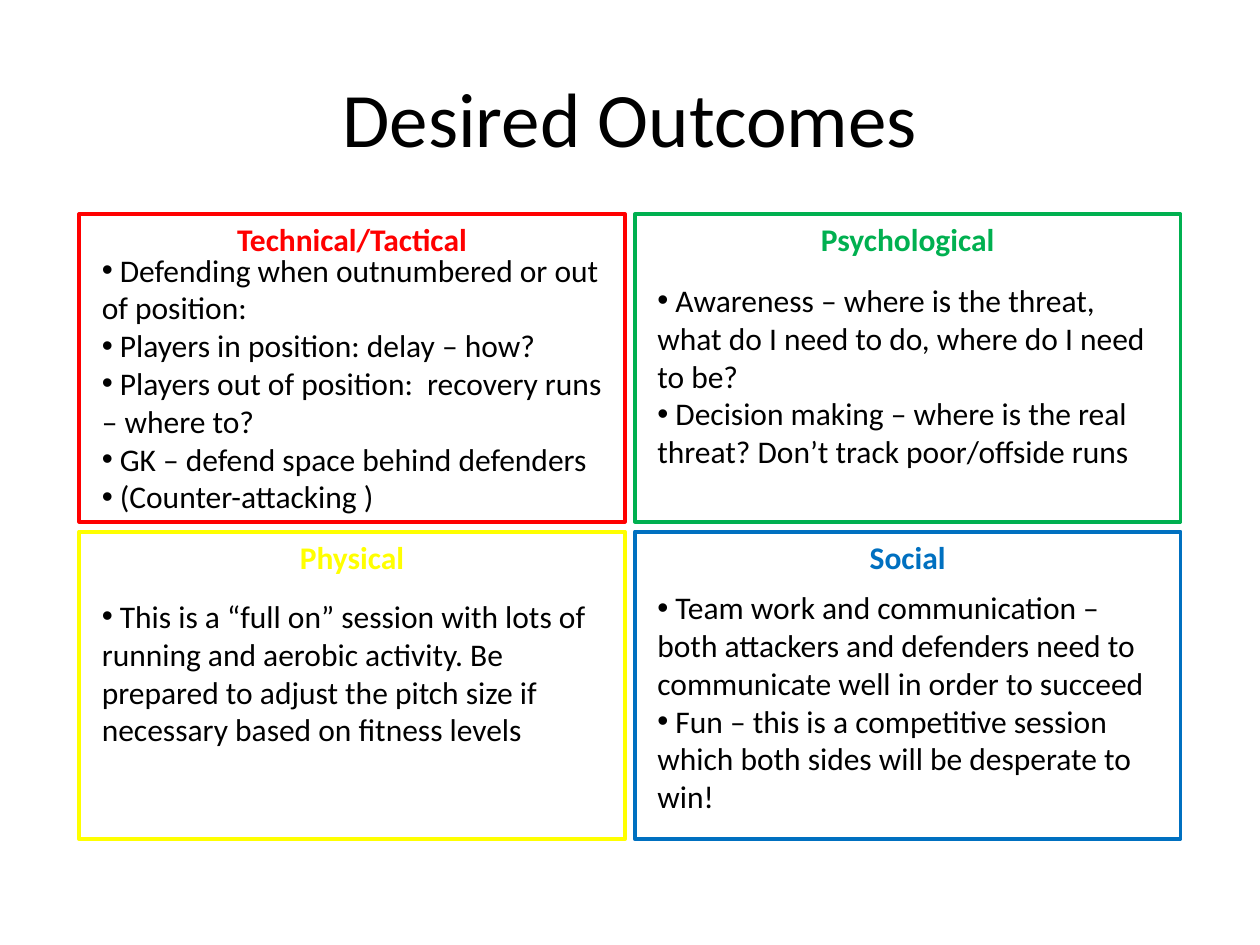
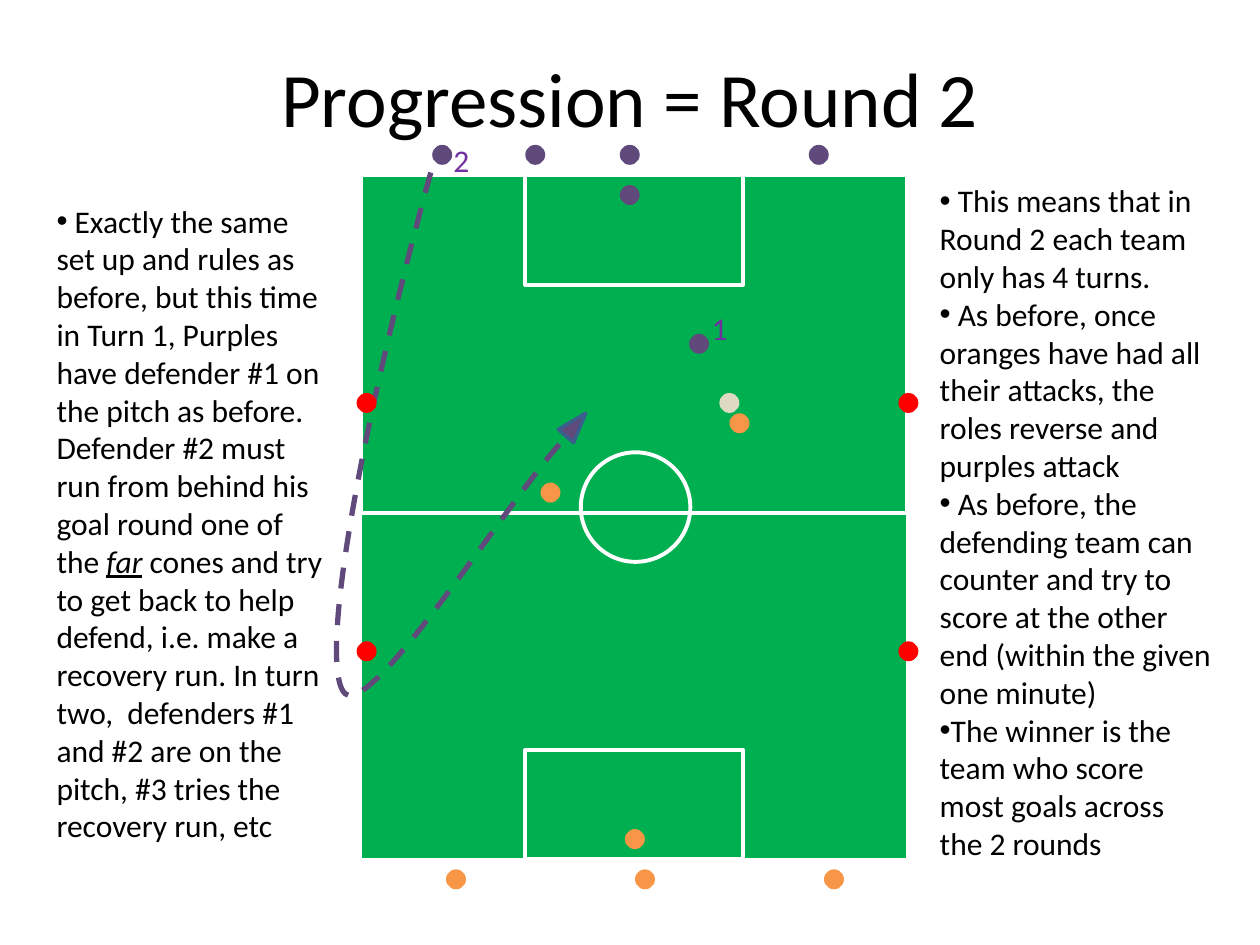
from dataclasses import dataclass
from itertools import product
from typing import NamedTuple

from pptx import Presentation
from pptx.dml.color import RGBColor
from pptx.enum.dml import MSO_LINE
from pptx.enum.shapes import MSO_SHAPE
from pptx.enum.text import MSO_ANCHOR, MSO_AUTO_SIZE as AutoSize, PP_ALIGN as Align
from pptx.oxml.ns import qn
from pptx.oxml.xmlchemy import OxmlElement
from pptx.shapes.autoshape import Shape
from pptx.slide import Slide
from pptx.text.text import TextFrame
from pptx.util import Pt

FONT = "Calibri"
BODY_SIZE = 18
TITLE_SIZE = 44
BLACK, WHITE, RED, YELLOW = "000000", "FFFFFF", "FF0000", "FFFF00"
GREEN, BLUE, ORANGE, PURPLE = "00B050", "0070C0", "F79646", "604A7B"
BALL, NUMBER, ARROW_EDGE = "DDD9C3", "7030A0", "3A5F8C"
DOT = 11.4


class Box(NamedTuple):
    left: float
    top: float
    width: float
    height: float


class Span(NamedTuple):
    text: str
    color: str = BLACK
    size: float = BODY_SIZE
    bold: bool = False
    stressed: bool = False


@dataclass
class Panel:
    heading: str
    heading_width: float
    color: str
    column: int
    row: int
    body_offset: float
    body_height: float
    points: list[str]


class DotGroup(NamedTuple):
    color: str
    places: list[tuple[float, float]]


PANEL = Box(45.3, 122.4, 311.8, 175.7)
COLUMN_STEP, ROW_STEP = 317.5, 181.4
PANELS = [
    Panel("Technical/Tactical", 146.9, RED, 0, 0, 17.3, 159.8, [
        " Defending when outnumbered or out of position:",
        " Players in position: delay – how?",
        " Players out of position:  recovery runs – where to?",
        " GK – defend space behind defenders",
        " (Counter-attacking )",
    ]),
    Panel("Physical", 74.9, YELLOW, 0, 1, 33.8, 94.3, [
        " This is a “full on” session with lots of running and aerobic activity. "
        "Be prepared to adjust the pitch size if necessary based on fitness levels",
    ]),
    Panel("Psychological", 114.5, GREEN, 1, 0, 34.6, 116.6, [
        " Awareness – where is the threat, what do I need to do, where do I need to be?",
        " Decision making – where is the real threat? Don’t track poor/offside runs",
    ]),
    Panel("Social", 58.3, BLUE, 1, 1, 28.8, 138.2, [
        " Team work and communication – both attackers and defenders need to "
        "communicate well in order to succeed",
        " Fun – this is a competitive session which both sides will be desperate to win!",
    ]),
]

PITCH = Box(206.6, 100.1, 311.8, 391)
HALF_HEIGHT = 193
GOAL_AREA = (124.6, 62.6)
CIRCLE = Box(331.9, 258.5, 62.6, 62.6)
BENCH_TOP, BENCH_BOTTOM = 82.8, 496.8
TEAMS = [
    DotGroup(ORANGE, [(357.1, 473.8), (308.9, 275.8), (416.9, 236.2)]
             + [(254.9 + 108 * i, BENCH_BOTTOM) for i in range(3)]),
    DotGroup(PURPLE, [(354.2, 105.8), (393.8, 190.8)]
             + [(x, BENCH_TOP) for x in (247, 300.2, 354.2, 462.2)]),
    DotGroup(BALL, [(411.1, 224.6)]),
]
CONES = DotGroup(RED, list(product((203.8, 513.4), (224.6, 366.5))))
RUN_START = (246.2, 98.6)
RUN_CURVES = [
    (210.2, 229.7), (182.2, 370.1), (195.8, 394.6),
    (208.8, 419.8), (303.1, 265), (326.2, 247.7),
]
ARROWHEAD = Box(323.3, 234, 11.5, 17.3)
DEFENDERS = [("1", 399.6, 172.8), ("2", 252, 77)]

SETUP = [[
    Span(" Exactly the same set up and rules as before, but this time in Turn 1, "
         "Purples have defender #1 on the pitch as before. Defender #2 must run from "
         "behind his goal round one of the "),
    Span("far", stressed=True),
    Span(" cones and try to get back to help defend, i.e. make a recovery run. In turn "
         "two,  defenders #1 and #2 are on the pitch, #3 tries the recovery run, etc"),
]]
RULES = [[Span(text)] for text in (
    " This means that in Round 2 each team only has 4 turns.",
    " As before, once oranges have had all their attacks, the roles reverse and "
    "purples attack",
    " As before, the defending team can counter and try to score at the other end "
    "(within the given one minute)",
    "The winner is the team who score most goals across the 2 rounds",
)]


def rgb(value: str) -> RGBColor:
    return RGBColor.from_string(value)


def add_text(slide: Slide, box: Box, paragraphs: list[list[Span]], bullets: bool = False,
             align: Align = Align.LEFT, wrap: bool = True) -> TextFrame:
    frame = slide.shapes.add_textbox(*map(Pt, box)).text_frame
    frame.word_wrap = wrap
    frame.auto_size = AutoSize.SHAPE_TO_FIT_TEXT
    for index, spans in enumerate(paragraphs):
        para = frame.add_paragraph() if index else frame.paragraphs[0]
        para.alignment = align
        if bullets:
            properties = para._p.get_or_add_pPr()
            for tag, name, value in (("a:buFont", "typeface", "Arial"),
                                     ("a:buChar", "char", "•")):
                mark = OxmlElement(tag)
                mark.set(name, value)
                properties.append(mark)
        for span in spans:
            run = para.add_run()
            run.text = span.text
            font = run.font
            font.name, font.size, font.bold = FONT, Pt(span.size), span.bold
            font.italic = font.underline = span.stressed
            font.color.rgb = rgb(span.color)
    return frame


def add_title(slide: Slide, text: str, height: float) -> None:
    frame = add_text(slide, Box(36, 21.6, 648, height),
                     [[Span(text, size=TITLE_SIZE)]], align=Align.CENTER)
    frame.auto_size = AutoSize.NONE
    frame.vertical_anchor = MSO_ANCHOR.MIDDLE


def paint(shape: Shape, fill: str | None, line: str | None, weight: float) -> None:
    shape.shadow.inherit = False
    if fill:
        shape.fill.solid()
        shape.fill.fore_color.rgb = rgb(fill)
    else:
        shape.fill.background()
    if line:
        shape.line.color.rgb = rgb(line)
        shape.line.width = Pt(weight)
    else:
        shape.line.fill.background()


def add_figure(slide: Slide, kind: MSO_SHAPE, box: Box, fill: str | None = None,
               line: str | None = None, weight: float = 2.25) -> Shape:
    shape = slide.shapes.add_shape(kind, *map(Pt, box))
    paint(shape, fill, line, weight)
    return shape


def add_dots(slide: Slide, group: DotGroup) -> None:
    for left, top in group.places:
        add_figure(slide, MSO_SHAPE.OVAL, Box(left, top, DOT, DOT), group.color)


def add_panel(slide: Slide, panel: Panel) -> None:
    left = PANEL.left + panel.column * COLUMN_STEP
    top = PANEL.top + panel.row * ROW_STEP
    add_figure(slide, MSO_SHAPE.RECTANGLE, Box(left, top, PANEL.width, PANEL.height),
               line=panel.color)
    heading_left = left + (PANEL.width - panel.heading_width) / 2
    add_text(slide, Box(heading_left, top, panel.heading_width, 29),
             [[Span(panel.heading, panel.color, bold=True)]],
             align=Align.CENTER, wrap=False)
    add_text(slide, Box(left + 5.8, top + panel.body_offset, 300.2, panel.body_height),
             [[Span(point)] for point in panel.points], bullets=True)


def add_pitch(slide: Slide) -> None:
    rectangle = MSO_SHAPE.RECTANGLE
    add_figure(slide, rectangle, PITCH, GREEN, WHITE, 1)
    add_figure(slide, rectangle, PITCH._replace(height=HALF_HEIGHT), GREEN, WHITE)
    width, height = GOAL_AREA
    left = PITCH.left + (PITCH.width - width) / 2
    for top in (PITCH.top, PITCH.top + PITCH.height - height):
        add_figure(slide, rectangle, Box(left, top, width, height), GREEN, WHITE)
    add_figure(slide, MSO_SHAPE.OVAL, CIRCLE, line=WHITE)


def add_recovery_run(slide: Slide) -> None:
    """Draw the dashed run; every three points form one Bézier segment."""
    builder = slide.shapes.build_freeform(*map(Pt, RUN_START))
    builder.add_line_segments([(Pt(x), Pt(y)) for x, y in RUN_CURVES], close=False)
    run = builder.convert_to_shape()
    segments = list(run.element.iter(qn("a:lnTo")))
    for start in range(0, len(segments), 3):
        curve = OxmlElement("a:cubicBezTo")
        segments[start].addprevious(curve)
        for segment in segments[start:start + 3]:
            curve.append(segment[0])
            segment.getparent().remove(segment)
    paint(run, None, PURPLE, 3)
    run.line.dash_style = MSO_LINE.DASH
    head = add_figure(slide, MSO_SHAPE.ISOSCELES_TRIANGLE, ARROWHEAD, PURPLE, ARROW_EDGE, 2)
    head.rotation = 41


def build_outcomes(slide: Slide) -> None:
    add_title(slide, "Desired Outcomes", 90)
    for panel in PANELS:
        add_panel(slide, panel)


def build_progression(slide: Slide) -> None:
    add_title(slide, "Progression = Round 2", 67)
    add_pitch(slide)
    for team in TEAMS:
        add_dots(slide, team)
    add_text(slide, Box(25.2, 111.6, 170, 378), SETUP, bullets=True)
    add_text(slide, Box(529.9, 100.1, 170, 399.6), RULES, bullets=True)
    add_recovery_run(slide)
    for number, left, top in DEFENDERS:
        add_text(slide, Box(left, top, 23.8, 29), [[Span(number, NUMBER)]], wrap=False)
    add_dots(slide, CONES)


def main() -> None:
    deck = Presentation()
    deck.slide_width, deck.slide_height = Pt(720), Pt(540)
    blank = deck.slide_layouts[6]
    for build in (build_outcomes, build_progression):
        build(deck.slides.add_slide(blank))
    deck.save("out.pptx")


if __name__ == "__main__":
    main()
